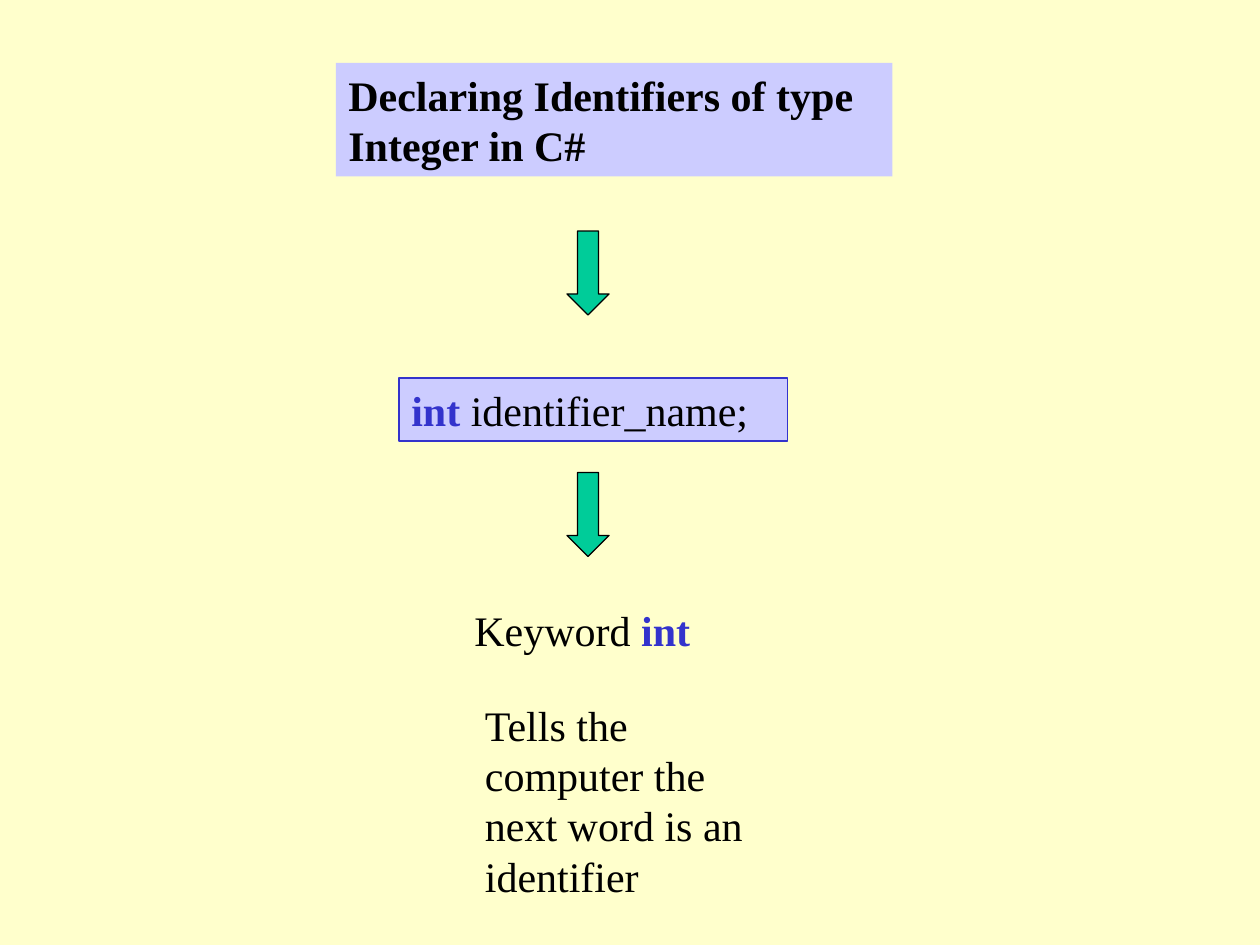
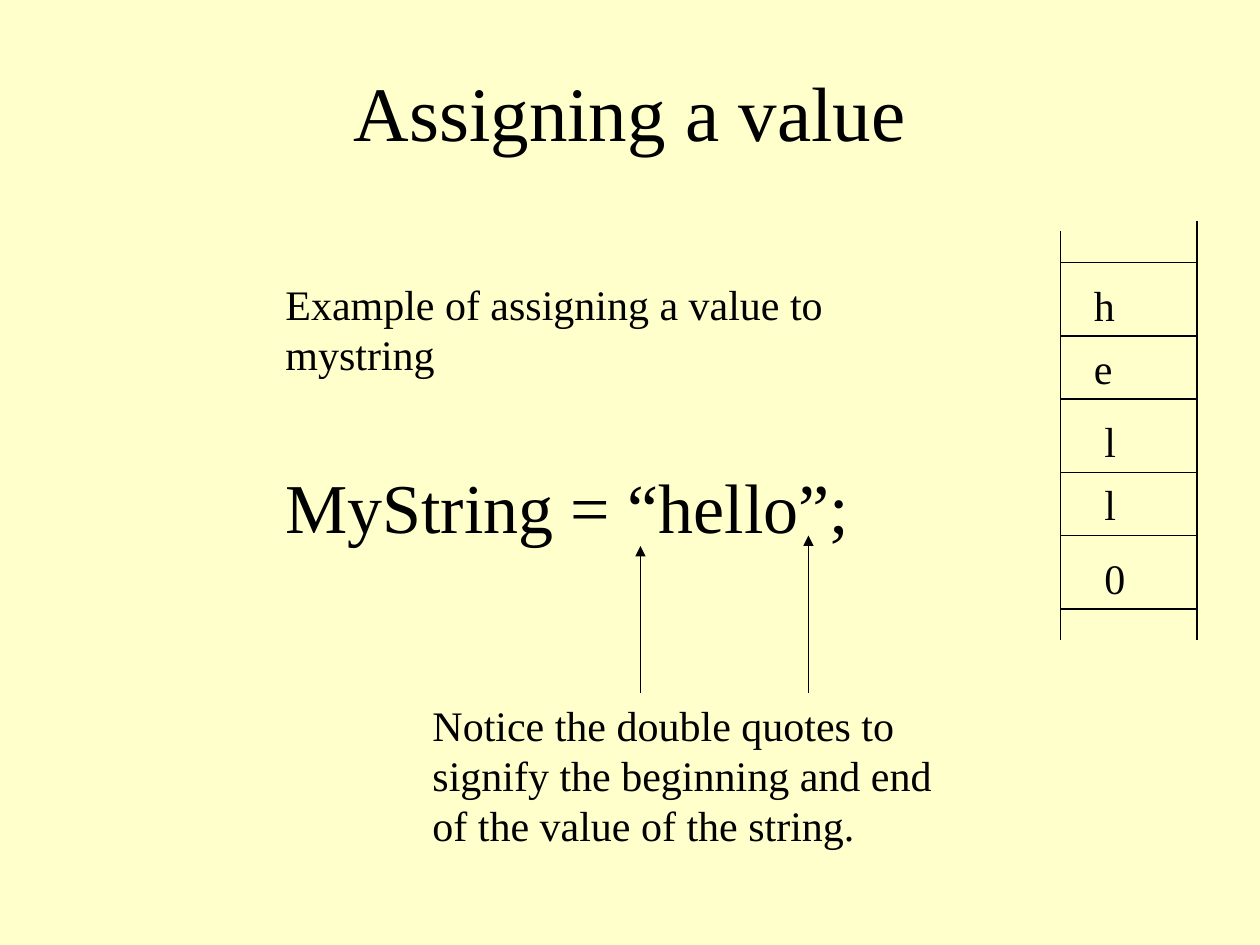
from itertools import accumulate

from lxml import etree
from pptx import Presentation
from pptx.dml.color import RGBColor
from pptx.enum import shapes, text
from pptx.oxml import ns
from pptx.util import Pt

# Shared style
COLOURS = {
    "paper": "FFFFCC",
    "panel": "CCCCFF",
    "keyword": "3333CC",
    "arrow": "00CC99",
    "ink": "000000",
}
FONT = "Times New Roman"
BODY_SIZE, CODE_SIZE, TITLE_SIZE = 24, 40, 44
LINE_WIDTH = 0.75

# Slide 1 content: each text is a list of (words, style) runs
KEYWORD = ("int", "keyword")
DECLARATION = [  # box (left, top, width, height), runs, fill, outline
    ((192, 36, 318, 64.8),
     [("Declaring Identifiers of type Integer in C#", "bold")], "panel", None),
    ((228, 216, 222, 36),
     [KEYWORD, (" identifier_name;", "plain")], "panel", "keyword"),
    ((264, 342, 168, 36), [("Keyword ", "plain"), KEYWORD], None, None),
    ((270, 396, 162, 122.4),
     [("Tells the computer the next word is an identifier", "plain")], None, None),
]
STEP_ARROW_TOPS = [132, 270]

# Slide 2 content
TITLE = "Assigning a value"
EXAMPLE = "Example of assigning a value to mystring"
ASSIGNMENT = "MyString = “hello”;"
NOTICE = ("Notice the double quotes to signify the beginning and end "
          "of the value of the string.")
QUOTE_ARROWS = [(366, 312), (462, 306)]  # x, tip
NOTICE_TOP = 396
MEMORY = [  # letter, cell height, letter left
    ("h", 42, 618), ("e", 36, 618), ("l", 42, 624), ("l", 36, 624), ("0", 42, 624),
]
MEMORY_LEFT, MEMORY_RIGHT, MEMORY_TOP = 606, 684, 150
MEMORY_WALLS = [(MEMORY_LEFT, 132), (MEMORY_RIGHT, 126)]  # x, top
MEMORY_BOTTOM = 366
LETTER_WIDTH, LETTER_HEIGHT = 36, 36


def colour(name):
    return RGBColor.from_string(COLOURS[name])


def new_slide(deck):
    slide = deck.slides.add_slide(deck.slide_layouts[6])
    slide.background.fill.solid()
    slide.background.fill.fore_color.rgb = colour("paper")
    return slide


def write(paragraph, runs, size=BODY_SIZE):
    for words, style in runs:
        run = paragraph.add_run()
        run.text = words
        run.font.name = FONT
        run.font.size = Pt(size)
        run.font.bold = style != "plain"
        run.font.color.rgb = colour("keyword" if style == "keyword" else "ink")


def add_text(slide, box, runs, size=BODY_SIZE, fill=None, outline=None):
    label = slide.shapes.add_textbox(*map(Pt, box))
    label.text_frame.word_wrap = True
    if fill:
        label.fill.solid()
        label.fill.fore_color.rgb = colour(fill)
    if outline:
        label.line.color.rgb = colour(outline)
        label.line.width = Pt(LINE_WIDTH)
    write(label.text_frame.paragraphs[0], runs, size)
    return label.text_frame


def add_line(slide, x1, y1, x2, y2, arrow=False):
    line = slide.shapes.add_connector(
        shapes.MSO_CONNECTOR.STRAIGHT, *map(Pt, (x1, y1, x2, y2)))
    line.line.color.rgb = colour("ink")
    line.line.width = Pt(LINE_WIDTH)
    if arrow:
        etree.SubElement(line.line._get_or_add_ln(), ns.qn("a:tailEnd"), type="triangle")
    etree.SubElement(line._element.spPr, ns.qn("a:effectLst"))


def build_declaration(slide):
    for box, runs, fill, outline in DECLARATION:
        add_text(slide, box, runs, fill=fill, outline=outline)
    for top in STEP_ARROW_TOPS:
        step = slide.shapes.add_shape(
            shapes.MSO_SHAPE.DOWN_ARROW, Pt(324), Pt(top), Pt(24), Pt(48))
        step.shadow.inherit = False
        step.fill.solid()
        step.fill.fore_color.rgb = colour("arrow")
        step.line.color.rgb = colour("ink")
        step.line.width = Pt(LINE_WIDTH)


def build_assignment(slide):
    title = add_text(slide, (54, 18, 612, 90), [(TITLE, "plain")], TITLE_SIZE)
    title.vertical_anchor = text.MSO_ANCHOR.MIDDLE
    title.paragraphs[0].alignment = text.PP_ALIGN.CENTER

    # Example and assignment
    example = add_text(slide, (156, 126, 408, 286), [(EXAMPLE, "plain")])
    example.margin_top = Pt(33)
    assignment = example.add_paragraph()
    assignment.space_before = Pt(48)
    write(assignment, [(ASSIGNMENT, "plain")], CODE_SIZE)

    # Memory column: every letter sits on the floor of its cell
    for x, top in MEMORY_WALLS:
        add_line(slide, x, top, x, MEMORY_BOTTOM)
    floors = list(accumulate((height for _, height, _ in MEMORY), initial=MEMORY_TOP))
    for y in floors:
        add_line(slide, MEMORY_LEFT, y, MEMORY_RIGHT, y)
    for (letter, _, left), floor in zip(MEMORY, floors[1:]):
        add_text(slide, (left, floor - LETTER_HEIGHT, LETTER_WIDTH, LETTER_HEIGHT),
                 [(letter, "plain")])

    # Note on the quotes
    add_text(slide, (240, NOTICE_TOP, 306, 93.6), [(NOTICE, "plain")])
    for x, tip in QUOTE_ARROWS:
        add_line(slide, x, NOTICE_TOP, x, tip, arrow=True)


def main():
    deck = Presentation()
    deck.slide_width, deck.slide_height = Pt(720), Pt(540)
    for build in (build_declaration, build_assignment):
        build(new_slide(deck))
    deck.save("out.pptx")


if __name__ == "__main__":
    main()
